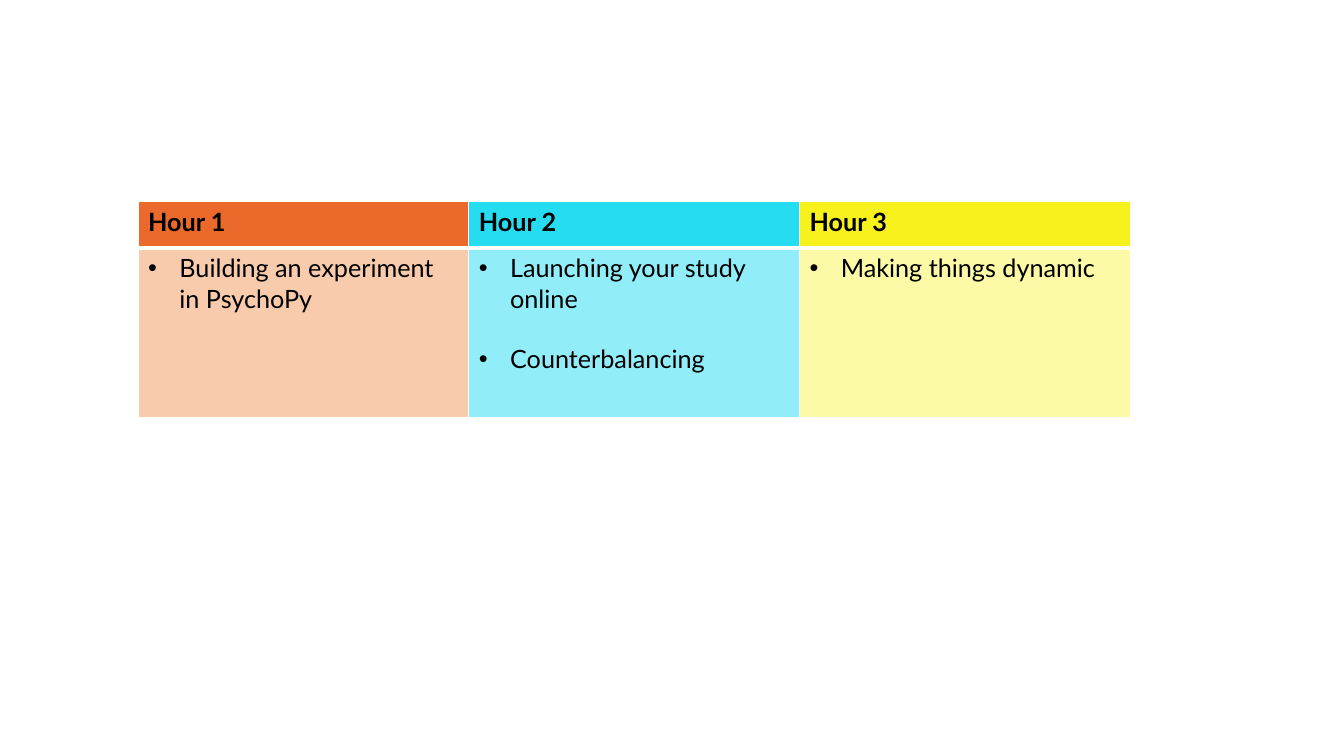
"""Build a slide with a three-hour workshop schedule table."""
from dataclasses import dataclass

from lxml import etree
from pptx import Presentation
from pptx.dml.color import RGBColor
from pptx.oxml import ns
from pptx.util import Inches, Pt

BLACK = RGBColor(0x00, 0x00, 0x00)
WHITE = RGBColor(0xFF, 0xFF, 0xFF)
ORANGE = RGBColor(0xEB, 0x69, 0x2A)
PEACH = RGBColor(0xF8, 0xCB, 0xAD)
CYAN = RGBColor(0x26, 0xDC, 0xF0)
PALE_CYAN = RGBColor(0x91, 0xED, 0xF7)
YELLOW = RGBColor(0xF7, 0xF1, 0x1C)
PALE_YELLOW = RGBColor(0xFC, 0xFA, 0xA6)

FONT = "Lato"
TEXT_SIZE = Pt(18)
TOPIC_GAP = Pt(21.6)
BULLET_INDENT = Inches(0.31)
COLUMN_WIDTH = Inches(3.28)
HEADER_HEIGHT = Inches(0.46)
TOPICS_HEIGHT = Inches(1.68)
THIN, THICK = Pt(1), Pt(3)


@dataclass(frozen=True)
class Session:
    """One column of the schedule."""

    title: str
    topics: tuple[str, ...]
    header_fill: RGBColor
    body_fill: RGBColor


SESSIONS = (
    Session("Hour 1", ("Building an experiment in PsychoPy",), ORANGE, PEACH),
    Session("Hour 2", ("Launching your study online", "Counterbalancing"), CYAN, PALE_CYAN),
    Session("Hour 3", ("Making things dynamic",), YELLOW, PALE_YELLOW),
)


def add_border(tc_pr, side: str, width: int) -> None:
    """Add a solid white border to one side of a cell."""
    ln = etree.SubElement(tc_pr, ns.qn(f"a:ln{side}"), w=str(width))
    fill = etree.SubElement(ln, ns.qn("a:solidFill"))
    etree.SubElement(fill, ns.qn("a:srgbClr"), val=str(WHITE))


def add_bullet(p) -> None:
    """Give a paragraph a round bullet with a hanging indent."""
    p_pr = p._p.get_or_add_pPr()
    p_pr.set("marL", str(BULLET_INDENT))
    p_pr.set("indent", str(-BULLET_INDENT))
    etree.SubElement(p_pr, ns.qn("a:buFont"), typeface="Arial")
    etree.SubElement(p_pr, ns.qn("a:buChar"), char="•")


def fill_cell(cell, lines: tuple[str, ...], fill: RGBColor, header: bool) -> None:
    """Write, format and outline one schedule cell."""
    tc_pr = cell._tc.get_or_add_tcPr()
    widths = {"L": THIN, "R": THIN, "T": THIN if header else THICK,
              "B": THICK if header else THIN}
    for side, width in widths.items():
        add_border(tc_pr, side, width)
    cell.fill.solid()
    cell.fill.fore_color.rgb = fill
    cell.text = "\n".join(lines)
    for i, p in enumerate(cell.text_frame.paragraphs):
        if not header:
            add_bullet(p)
        if i:
            p.space_before = TOPIC_GAP
        p.font.name = FONT
        p.font.size = TEXT_SIZE
        p.font.bold = header
        p.font.color.rgb = BLACK


def add_schedule(s, sessions: tuple[Session, ...]) -> None:
    """Add the schedule table with one column per session."""
    table = s.shapes.add_table(
        2, len(sessions), Inches(1.37), Inches(2),
        COLUMN_WIDTH * len(sessions), HEADER_HEIGHT + TOPICS_HEIGHT,
    ).table
    table.rows[0].height = HEADER_HEIGHT
    table.rows[1].height = TOPICS_HEIGHT
    for col, session in enumerate(sessions):
        table.columns[col].width = COLUMN_WIDTH
        fill_cell(table.cell(0, col), (session.title,), session.header_fill, True)
        fill_cell(table.cell(1, col), session.topics, session.body_fill, False)


def main() -> None:
    """Create and save the presentation."""
    prs = Presentation()
    prs.slide_width, prs.slide_height = Inches(13.33), Inches(7.5)
    s = prs.slides.add_slide(prs.slide_layouts[6])
    add_schedule(s, SESSIONS)
    prs.save("out.pptx")


main()
